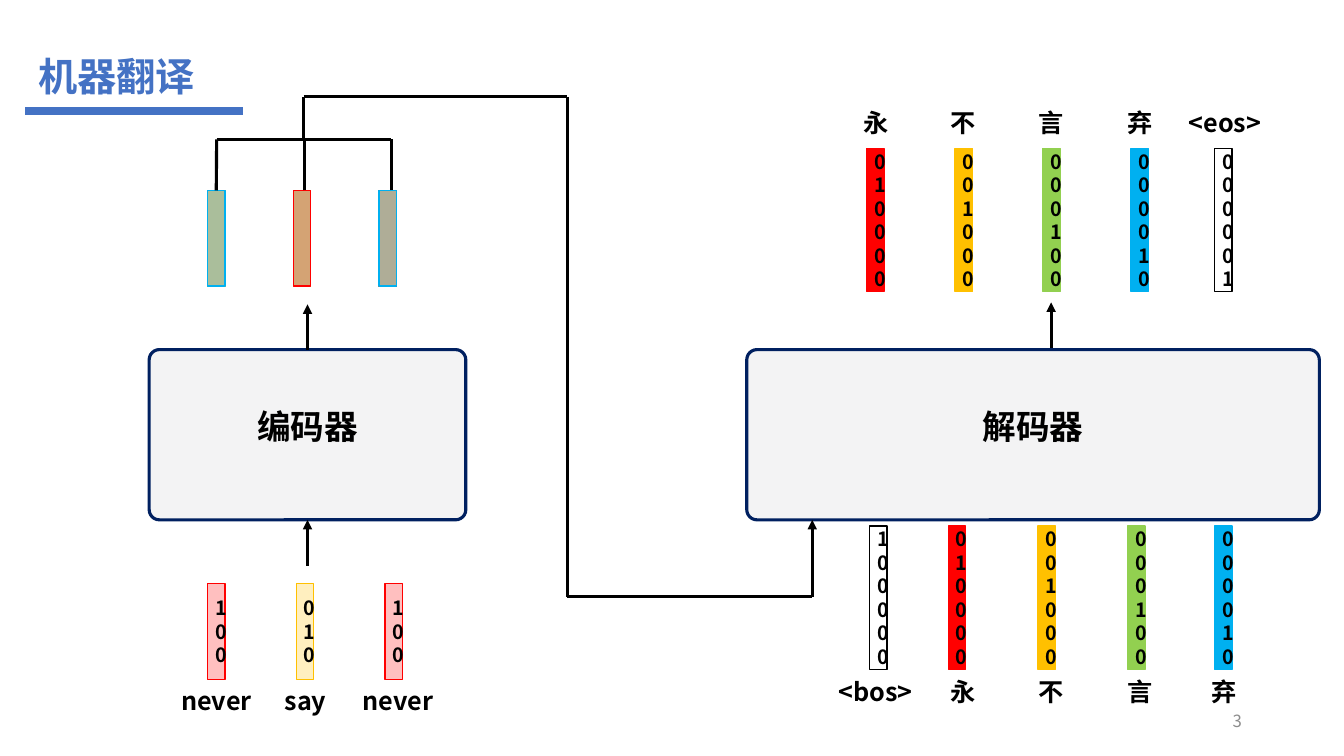
"""Build the machine translation slide with its encoder and decoder."""
from itertools import pairwise

from lxml import etree
from pptx import Presentation
from pptx import util as u
from pptx.dml.color import RGBColor
from pptx.enum import shapes, text
from pptx.oxml.ns import qn

FONT = "Noto Sans CJK SC"
RED, AMBER, GREEN, BLUE = "FF0000", "FFC000", "92D050", "00B0F0"
BLACK, NAVY, PALE, ACCENT, GREY = "000000", "002060", "F3F3F4", "4472C4", "8C8C8C"

TITLE = "机器翻译"
PAGE = "3"
BAR_W, SHORT_H, TALL_H = 0.44, 2.41, 3.61
LABEL_W, LABEL_H = 2.8, 1.02
BOX_TOP, BOX_H = 8.81, 4.29
BOXES = [("编码器", 3.76, 7.98), ("解码器", 18.82, 14.43)]

FEATURE_LEFT, FEATURE_STEP, FEATURE_TOP = 5.23, 2.16, 4.8
FEATURES = [
    (RED, AMBER, GREEN, BLUE),
    (BLUE, GREEN, AMBER, RED),
    (AMBER, GREEN, RED, BLUE),
]

# label, digits, colour, bar left, label centre
WORD_ROWS = [
    {"top": 14.71, "height": SHORT_H, "label_top": 17.14, "alpha": 25, "words": [
        ("never", "100", RED, 5.23, 5.46),
        ("say", "010", AMBER, 7.47, 7.7),
        ("never", "100", RED, 9.7, 10.03)]},
    {"top": 3.74, "height": TALL_H, "label_top": 2.59, "alpha": None, "words": [
        ("永", "010000", RED, 21.84, 22.07),
        ("不", "001000", AMBER, 24.07, 24.28),
        ("言", "000100", GREEN, 26.28, 26.49),
        ("弃", "000010", BLUE, 28.5, 28.72),
        ("<eos>", "000001", None, 30.61, 30.87)]},
    {"top": 13.26, "height": TALL_H, "label_top": 16.92, "alpha": None, "words": [
        ("<bos>", "100000", None, 21.92, 22.07),
        ("永", "010000", RED, 23.9, 24.28),
        ("不", "001000", AMBER, 26.16, 26.49),
        ("言", "000100", GREEN, 28.42, 28.72),
        ("弃", "000010", BLUE, 30.61, 30.86)]},
]

BRACKET_TOP = 3.51
STEMS = [5.46, 7.67, 9.86]
CONTEXT_ROUTE = [(7.65, 3.51), (7.65, 2.44), (14.3, 2.44),
                 (14.3, 15.04), (20.47, 15.04), (20.47, 13.1)]


def rgb(value):
    return RGBColor.from_string(value)


def write(s, lines, size, color=BLACK, bold=True, align=text.PP_ALIGN.CENTER,
          anchor=text.MSO_ANCHOR.MIDDLE, spacing=None):
    tf = s.text_frame
    tf.word_wrap = True
    tf.vertical_anchor = anchor
    for i, line in enumerate(lines):
        p = tf.add_paragraph() if i else tf.paragraphs[0]
        p.alignment = align
        if spacing:
            p.line_spacing = u.Pt(spacing)
        r = p.add_run()
        r.text = line
        r.font.size, r.font.bold, r.font.name = u.Pt(size), bold, FONT
        r.font.color.rgb = rgb(color)
        ea = etree.SubElement(r.font._element, qn("a:ea"))
        ea.set("typeface", FONT)


def add_text(sp, line, left, top, width, height, grow=True, **fmt):
    s = sp.add_textbox(u.Cm(left), u.Cm(top), u.Cm(width), u.Cm(height))
    write(s, [line], **fmt)
    if grow:
        s.text_frame.auto_size = text.MSO_AUTO_SIZE.SHAPE_TO_FIT_TEXT
    return s


def add_box(sp, left, top, width, height, fill, line, weight=1, alpha=None,
            kind=shapes.MSO_SHAPE.RECTANGLE):
    s = sp.add_shape(kind, u.Cm(left), u.Cm(top), u.Cm(width), u.Cm(height))
    s.shadow.inherit = False
    if fill:
        s.fill.solid()
        s.fill.fore_color.rgb = rgb(fill)
    else:
        s.fill.background()
    if alpha and fill:
        color = s._element.spPr.find(qn("a:solidFill"))[0]
        etree.SubElement(color, qn("a:alpha")).set("val", str(alpha * 1000))
    s.line.color.rgb = rgb(line)
    s.line.width = u.Pt(weight)
    return s


def add_line(sp, start, end, arrow=False, color=BLACK, weight=2.25):
    s = sp.add_connector(shapes.MSO_CONNECTOR.STRAIGHT,
                         *(u.Cm(v) for v in (*start, *end)))
    s.line.color.rgb = rgb(color)
    s.line.width = u.Pt(weight)
    if arrow:
        etree.SubElement(s.line._get_or_add_ln(), qn("a:tailEnd")).set("type", "triangle")
    etree.SubElement(s._element.spPr, qn("a:effectLst"))
    return s


def add_words(sp, row):
    for label, digits, color, left, centre in row["words"]:
        s = add_box(sp, left, row["top"], BAR_W, row["height"], color,
                    color or BLACK, alpha=row["alpha"])
        write(s, digits, size=14)
        add_text(sp, label, centre - LABEL_W / 2, row["label_top"], LABEL_W, LABEL_H,
                 size=18, anchor=text.MSO_ANCHOR.TOP)


def main():
    prs = Presentation()
    prs.slide_width, prs.slide_height = u.Cm(33.87), u.Cm(19.05)
    sp = prs.slides.add_slide(prs.slide_layouts[6]).shapes

    add_text(sp, PAGE, 23.93, 17.65, 7.62, 1.02, grow=False, size=12, color=GREY,
             bold=False, align=text.PP_ALIGN.RIGHT)

    boxes = []
    for name, left, width in BOXES:
        s = add_box(sp, left, BOX_TOP, width, BOX_H, PALE, NAVY, 2.25,
                    kind=shapes.MSO_SHAPE.ROUNDED_RECTANGLE)
        s.adjustments[0] = 0.06
        write(s, [name], size=24, spacing=16)
        boxes.append(s)
    encoder = boxes[0]
    add_line(sp, (7.75, 14.25), (7.75, 13.1), arrow=True).end_connect(encoder, 2)
    add_line(sp, (7.75, 8.81), (7.75, 7.67), arrow=True).begin_connect(encoder, 0)
    add_line(sp, (26.49, 8.76), (26.49, 7.62), arrow=True)

    feature_bars = []
    for i, colors in enumerate(FEATURES):
        for color in colors:
            s = add_box(sp, FEATURE_LEFT + i * FEATURE_STEP, FEATURE_TOP,
                        BAR_W, SHORT_H, color, color, alpha=25)
        feature_bars.append(s)

    stems = [add_line(sp, (x, FEATURE_TOP), (x, BRACKET_TOP)) for x in STEMS]
    stems[0].begin_connect(feature_bars[0], 0)
    add_line(sp, (STEMS[0], BRACKET_TOP), (STEMS[-1], BRACKET_TOP))
    for start, end in pairwise(CONTEXT_ROUTE):
        add_line(sp, start, end, arrow=end == CONTEXT_ROUTE[-1])

    for row in WORD_ROWS:
        add_words(sp, row)

    add_line(sp, (0.64, 2.79), (6.12, 2.79), color=ACCENT, weight=6)
    add_text(sp, TITLE, 0.71, 1.19, 12.17, 1.45, size=28, color=ACCENT,
             align=text.PP_ALIGN.LEFT, anchor=text.MSO_ANCHOR.TOP)
    prs.save("out.pptx")


if __name__ == "__main__":
    main()
